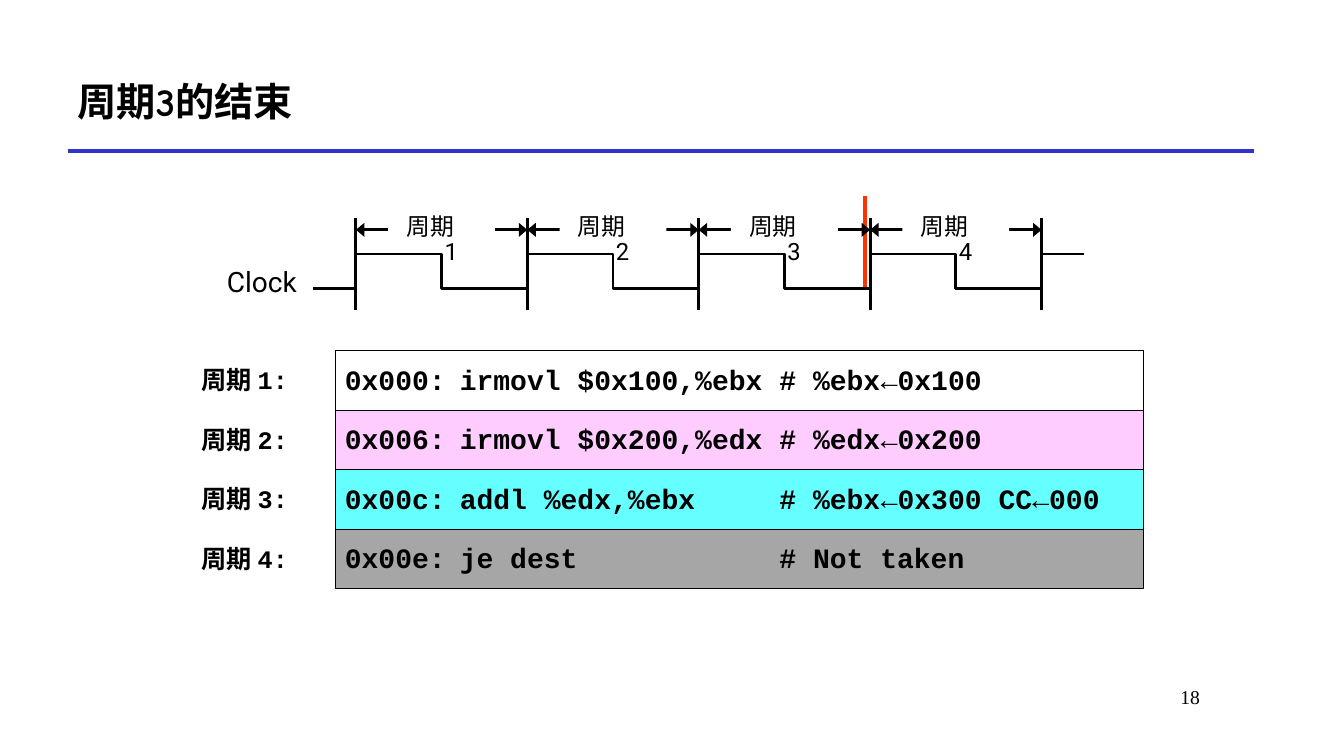
from dataclasses import dataclass

from lxml import etree
from pptx import Presentation
from pptx.dml.color import RGBColor
from pptx.enum.shapes import MSO_CONNECTOR, MSO_SHAPE
from pptx.enum.text import MSO_ANCHOR, PP_ALIGN
from pptx.oxml.ns import qn
from pptx.util import Inches, Pt

LEFT, RIGHT = PP_ALIGN.LEFT, PP_ALIGN.RIGHT
MIDDLE = MSO_ANCHOR.MIDDLE
STRAIGHT = MSO_CONNECTOR.STRAIGHT
RECTANGLE = MSO_SHAPE.RECTANGLE

COLORS = {
    "ink": "000000",
    "paper": "FFFFFF",
    "rule": "3333CC",
    "marker": "FF3300",
    "pink": "FFCCFF",
    "cyan": "66FFFF",
    "gray": "A6A6A6",
}
CODE_FONT = "Courier New"
LABEL_FONT = "Roboto"
ARROW = "←"


@dataclass
class Instruction:
    address: str
    code: str
    fill: str
    code_width: float


INSTRUCTIONS = [
    Instruction("0x000:", "irmovl $0x100,%ebx # %ebx←0x100", "paper", 5.49),
    Instruction("0x006:", "irmovl $0x200,%edx # %edx←0x200", "pink", 5.49),
    Instruction("0x00c:", "addl %edx,%ebx     # %ebx←0x300 CC←000", "cyan", 6.78),
    Instruction("0x00e:", "je dest            # Not taken", "gray", 5.05),
]

CLOCK_START = 3.53
PERIOD = 1.7
HIGH, LOW = 2.52, 2.86
ARROW_Y = 2.28
ROW_TOP, ROW_HEIGHT = 3.48, 0.59

prs = Presentation()
prs.slide_width, prs.slide_height = Inches(13.33), Inches(7.5)
slide = prs.slides.add_slide(prs.slide_layouts[5])


def color(name: str) -> RGBColor:
    return RGBColor.from_string(COLORS[name])


def write(frame, text: str, *, size: float, font: str, bold: bool = False,
          align=LEFT, hanging: bool = False) -> None:
    paragraph = frame.paragraphs[0]
    paragraph.alignment = align
    if hanging:
        paragraph.line_spacing = 0.9
        properties = paragraph._p.get_or_add_pPr()
        properties.set("marL", str(Inches(0.38)))
        properties.set("indent", str(-Inches(0.38)))
    for index, part in enumerate(text.replace(ARROW, f"|{ARROW}|").split("|")):
        run = paragraph.add_run()
        run.text = part
        run.font.size = Pt(size)
        run.font.name = font
        run.font.bold = bold and index % 2 == 0
        run.font.color.rgb = color("ink")


def add_label(text: str, left: float, top: float, width: float, height: float,
              *, wrap: bool = False, inset: float = 0, **text_format) -> None:
    frame = slide.shapes.add_textbox(
        Inches(left), Inches(top), Inches(width), Inches(height)).text_frame
    frame.word_wrap = wrap
    frame.margin_left = frame.margin_right = Inches(inset)
    frame.margin_top = frame.margin_bottom = Inches(inset / 2)
    write(frame, text, **text_format)


def add_line(x1: float, y1: float, x2: float, y2: float, *, ink: str = "ink",
             weight: float = 0, arrows: bool = False) -> None:
    line = slide.shapes.add_connector(
        STRAIGHT, Inches(x1), Inches(y1), Inches(x2), Inches(y2))
    line.line.color.rgb = color(ink)
    line.line.width = Pt(weight)
    if arrows:
        for end in ("a:headEnd", "a:tailEnd"):
            etree.SubElement(line.line._ln, qn(end), type="triangle", w="lg", len="med")
    etree.SubElement(line._element.spPr, qn("a:effectLst"))


def add_box(left: float, top: float, width: float, height: float, fill: str,
            *, outlined: bool) -> None:
    box = slide.shapes.add_shape(
        RECTANGLE, Inches(left), Inches(top), Inches(width), Inches(height))
    box.shadow.inherit = False
    box.fill.solid()
    box.fill.fore_color.rgb = color(fill)
    if outlined:
        box.line.color.rgb = color("ink")
        box.line.width = Pt(0)
    else:
        box.line.fill.background()


def add_pulse(rise: float) -> None:
    fall, next_rise = rise + PERIOD / 2, rise + PERIOD
    points = [(rise, LOW), (rise, HIGH), (fall, HIGH), (fall, LOW),
              (next_rise, LOW), (next_rise, HIGH), (next_rise + PERIOD / 4, HIGH)]
    builder = slide.shapes.build_freeform(Inches(rise - PERIOD / 4), Inches(LOW))
    builder.add_line_segments([(Inches(x), Inches(y)) for x, y in points], close=False)
    pulse = builder.convert_to_shape()
    pulse.shadow.inherit = False
    pulse.fill.background()
    pulse.line.color.rgb = color("ink")
    pulse.line.width = Pt(2)


add_line(0.67, 1.5, 12.44, 1.5, ink="rule", weight=3)
add_label("18", 10.11, 6.75, 1.89, 0.5, wrap=True, inset=0.1,
          size=14, font="Times New Roman", align=RIGHT)
add_line(8.58, 1.94, 8.58, LOW, ink="marker", weight=3)

for number, instruction in enumerate(INSTRUCTIONS, start=1):
    top = ROW_TOP + (number - 1) * ROW_HEIGHT
    add_box(3.33, top, 8.01, ROW_HEIGHT, instruction.fill, outlined=True)
    code_format = dict(font=CODE_FONT, bold=True, hanging=True)
    add_label(instruction.address, 3.42, top + 0.15, 1.01, 0.3, size=20, **code_format)
    add_label(instruction.code, 4.56, top + 0.15, instruction.code_width, 0.3,
              size=20, **code_format)
    add_label(f"周期 {number}:", 2, top + 0.17, 0.96, 0.27, size=18, **code_format)

add_label("Clock", 2.25, 2.66, 0.7, 0.3, size=20, font=LABEL_FONT, hanging=True)

rises = [CLOCK_START + PERIOD * index for index in range(len(INSTRUCTIONS) + 1)]
for number, rise in enumerate(rises[:-1], start=1):
    add_line(rise, ARROW_Y, rise + PERIOD, ARROW_Y, arrows=True)
    add_box(rise + 0.32, 2.04, 1.06, 0.42, "paper", outlined=False)
    add_label(f"周期 {number}", rise + 0.5, 2.13, 0.6, 0.26, wrap=True,
              size=17, font=LABEL_FONT, hanging=True)
for rise in rises:
    add_line(rise, 3.08, rise, 2.16)
for rise in rises[:-1]:
    add_pulse(rise)

title = slide.shapes.title
title.left, title.top = Inches(0.67), Inches(0.5)
title.width, title.height = Inches(11.78), Inches(1)
title.text_frame.vertical_anchor = MIDDLE
write(title.text_frame, "周期3的结束", size=28, font="Comic Neue", bold=True)

prs.save("out.pptx")
